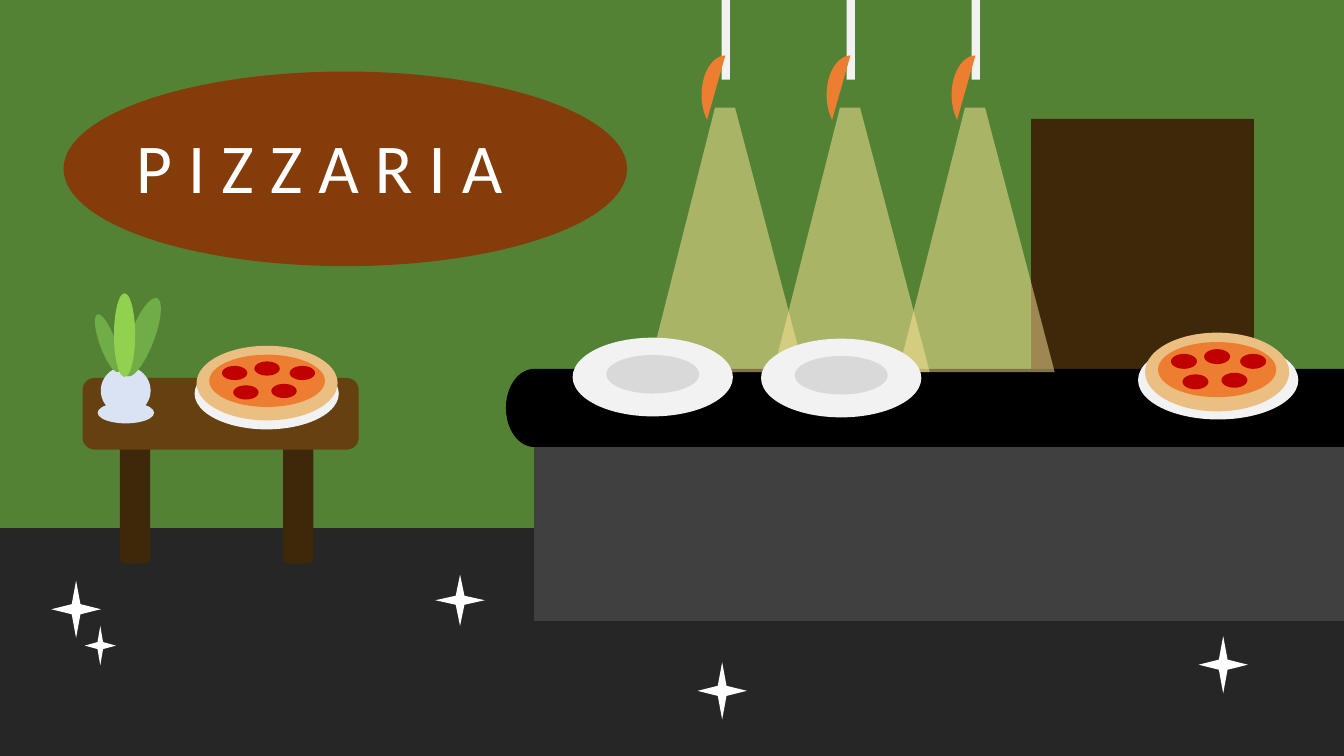
import math
from dataclasses import dataclass

from lxml import etree
from pptx import Presentation
from pptx import util as u
from pptx.dml import color
from pptx.enum import shapes, text
from pptx.oxml import ns

KIND = shapes.MSO_SHAPE


@dataclass(frozen=True)
class Theme:
    wall: str = "548235"
    dark_wood: str = "3E280A"
    wood: str = "654111"
    sign: str = "843C0B"
    floor: str = "262626"
    counter: str = "404040"
    countertop: str = "000000"
    china: str = "F2F2F2"
    well: str = "D9D9D9"
    pot: str = "DAE3F3"
    leaf: str = "70AD47"
    bright_leaf: str = "92D050"
    orange: str = "ED7D31"
    light: str = "FFE699"
    crust: str = "EBBE81"
    pepperoni: str = "C00000"
    white: str = "FFFFFF"
    font: str = "Calibri"
    title_size: int = 50


THEME = Theme()
LAMP_BEAM = (-7.7, 77), (6.7, 77), (56.4, 265.8), (-55.4, 265.8)
PEPPERONI = (0.18, 0.27), (0.41, 0.21), (0.66, 0.27), (0.26, 0.53), (0.53, 0.51)
STARS = (
    (36.7, 414.7, 35.3, 41),
    (60.5, 447.1, 22.3, 28.1),
    (856.1, 454.3, 35.3, 41),
    (498.2, 473, 35.3, 41),
    (311, 410.4, 35.3, 36.7),
)


def apply_format(target, values):
    for name, value in values.items():
        setattr(target, name, value)


def paint(shape, fill, alpha=None):
    shape.shadow.inherit = False
    shape.fill.solid()
    shape.fill.fore_color.rgb = color.RGBColor.from_string(fill)
    shape.line.fill.background()
    if alpha is not None:
        rgb = shape.fill._xPr.find(".//" + ns.qn("a:srgbClr"))
        etree.SubElement(rgb, ns.qn("a:alpha"), val=str(alpha * 1000))


def add_preset(parent, kind, box, fill, rotation=0, adjustments=()):
    shape = parent.shapes.add_shape(kind, *map(u.Pt, box))
    shape.rotation = rotation
    for index, value in enumerate(adjustments):
        shape.adjustments[index] = value
    paint(shape, fill)


def add_outline(slide, points, fill, alpha=None):
    vertices = [(u.Pt(x), u.Pt(y)) for x, y in points]
    builder = slide.shapes.build_freeform(*vertices[0], scale=1)
    builder.add_line_segments(vertices[1:], close=True)
    paint(builder.convert_to_shape(), fill, alpha)


def add_countertop(slide):
    center_x, center_y, radius_x, radius_y = 381.6, 291.4, 20.2, 27.9
    angles = [math.radians(degree) for degree in range(90, 271, 6)]
    points = [
        (center_x + radius_x * math.cos(angle), center_y + radius_y * math.sin(angle))
        for angle in angles
    ]
    right = [(960, center_y - radius_y), (960, center_y + radius_y)]
    add_outline(slide, points + right, THEME.countertop)


def add_inset(parent, box, inset, fill):
    left, top, width, height = box
    x, y, w, h = inset
    inner = (left + x * width, top + y * height, w * width, h * height)
    add_preset(parent, KIND.OVAL, inner, fill)


def add_plate(slide, box):
    group = slide.shapes.add_group_shape()
    add_preset(group, KIND.OVAL, box, THEME.china)
    add_inset(group, box, (0.21, 0.22, 0.58, 0.49), THEME.well)


def add_pizza(slide, box):
    group = slide.shapes.add_group_shape()
    add_preset(group, KIND.OVAL, box, THEME.crust)
    add_inset(group, box, (0.09, 0.12, 0.82, 0.7), THEME.orange)
    for x, y in PEPPERONI:
        add_inset(group, box, (x, y, 0.18, 0.19), THEME.pepperoni)


def add_table_with_legs(slide):
    for left in (85.7, 202.3):
        add_preset(slide, KIND.ROUNDED_RECTANGLE, (left, 295.9, 21.6, 106.6), THEME.dark_wood)
    add_preset(slide, KIND.ROUNDED_RECTANGLE, (59, 270, 197.3, 51.1), THEME.wood)


def add_plant(slide):
    group = slide.shapes.add_group_shape()
    for box, fill, rotation in (
        ((72, 261.7, 35.6, 34.6), THEME.pot, 0),
        ((69.8, 287.3, 40.3, 15.1), THEME.pot, 0),
        ((92.9, 211, 17.3, 59.8), THEME.leaf, 20.9),
        ((71.3, 223.2, 11.5, 43.9), THEME.leaf, 340),
        ((81.4, 209.5, 15.1, 59.8), THEME.bright_leaf, 0),
    ):
        add_preset(group, KIND.OVAL, box, fill, rotation)


def add_lamp(slide, center):
    group = slide.shapes.add_group_shape()
    add_preset(group, KIND.RECTANGLE, (center - 2.9, 0, 5.8, 56.9), THEME.china)
    shade = (center - 28.1, 50.4, 56.2, 34.6)
    add_preset(group, KIND.CHORD, shade, THEME.orange, 90, (22.06, 107.65))


def add_beam(slide, center):
    points = [(center + x, y) for x, y in LAMP_BEAM]
    add_outline(slide, points, THEME.light, 50)


def add_title(slide):
    box = slide.shapes.add_textbox(*map(u.Pt, (90, 85, 307.4, 67.7)))
    apply_format(box.text_frame, {
        "word_wrap": False,
        "auto_size": text.MSO_AUTO_SIZE.SHAPE_TO_FIT_TEXT,
    })
    run = box.text_frame.paragraphs[0].add_run()
    run.text = "P I Z Z A R I A"
    apply_format(run.font, {"name": THEME.font, "size": u.Pt(THEME.title_size)})
    run.font.color.rgb = color.RGBColor.from_string(THEME.white)


def add_room(slide):
    for kind, box, fill in (
        (KIND.RECTANGLE, (0, 0, 960, 540), THEME.wall),
        (KIND.RECTANGLE, (736.6, 85, 159.1, 321.1), THEME.dark_wood),
        (KIND.OVAL, (45.4, 51.1, 402.5, 139), THEME.sign),
        (KIND.RECTANGLE, (0, 377.3, 960, 162.7), THEME.floor),
        (KIND.RECTANGLE, (381.6, 270, 578.4, 173.5), THEME.counter),
    ):
        add_preset(slide, kind, box, fill)
    add_countertop(slide)


def main():
    presentation = Presentation()
    apply_format(presentation, {"slide_width": u.Pt(960), "slide_height": u.Pt(540)})
    slide = presentation.slides.add_slide(presentation.slide_layouts[6])
    left_lamp, middle_lamp, right_lamp = 518.4, 607.7, 697

    add_room(slide)
    add_plate(slide, (812.9, 243.4, 114.5, 56.2))
    add_table_with_legs(slide)
    add_plant(slide)
    add_plate(slide, (139, 255.6, 103, 51.1))
    for center in (middle_lamp, right_lamp):
        add_lamp(slide, center)
    for center in (middle_lamp, right_lamp, left_lamp):
        add_beam(slide, center)
    for left, top in ((409, 241.2), (543.6, 241.9)):
        add_plate(slide, (left, top, 114.5, 56.2))
    add_title(slide)
    add_lamp(slide, left_lamp)
    add_pizza(slide, (817.9, 237.6, 103, 56.2))
    add_pizza(slide, (140.4, 247, 100.8, 53.3))
    for star in STARS:
        add_preset(slide, KIND.STAR_4_POINT, star, THEME.white)
    presentation.save("out.pptx")


if __name__ == "__main__":
    main()
